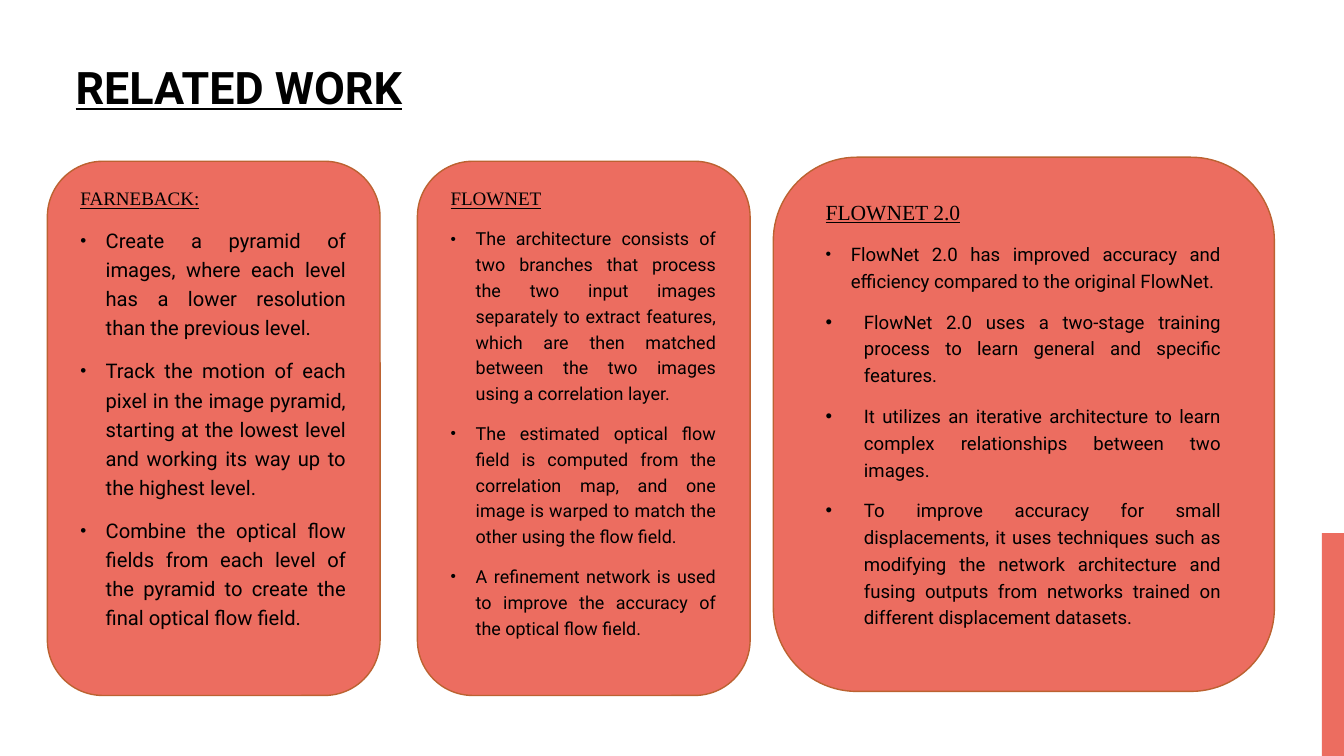
import pptx
import pptx.util
import pptx.dml.color
import pptx.enum.shapes
import pptx.enum.text
import pptx.oxml.ns
import lxml.etree

PX = 9144  # EMU per px, 100 px to the inch
THEME = {
    "coral": pptx.dml.color.RGBColor.from_string("EC6D60"),
    "rust": pptx.dml.color.RGBColor.from_string("BC6231"),
    "ink": pptx.dml.color.RGBColor.from_string("000000"),
    "sans": "Roboto",
    "serif": "Times New Roman",
    "title_size": 32,
    "line_spacing": 1.2,
    "space_before": 10,
}
ALIGN = pptx.enum.text.PP_ALIGN
SHAPE = pptx.enum.shapes.MSO_SHAPE

# card box, text box, heading size, body size, heading, (level, bullet text)
METHODS = [
    ((47, 160, 330, 530), (70, 176, 283, 477), 13.6, 14.4, "FARNEBACK:", [
        (0, "Create a pyramid of images, where each level has a lower resolution than the previous level."),
        (0, "Track the motion of each pixel in the image pyramid, starting at the lowest level and working its way up to the highest level."),
        (0, "Combine the optical flow fields from each level of the pyramid to create the final optical flow field."),
    ]),
    ((414, 160, 330, 530), (437, 176, 283, 477), 13.6, 12.8, "FLOWNET", [
        (0, "The architecture consists of two branches that process the two input images separately to extract features, which are then matched between the two images using a correlation layer."),
        (0, "The estimated optical flow field is computed from the correlation map, and one image is warped to match the other using the flow field."),
        (0, "A refinement network is used to improve the accuracy of the optical flow field."),
    ]),
    ((767, 156, 497, 530), (809, 187, 412, 477), 15.4, 13.3, "FLOWNET 2.0", [
        (0, "FlowNet 2.0 has improved accuracy and efficiency compared to the original FlowNet."),
        (1, "FlowNet 2.0 uses a two-stage training process to learn general and specific features."),
        (1, "It utilizes an iterative architecture to learn complex relationships between two images."),
        (1, "To improve accuracy for small displacements, it uses techniques such as modifying the network architecture and fusing outputs from networks trained on different displacement datasets."),
    ]),
]
# hanging indent in px and bullet size in percent, by level
BULLET_LEVELS = [(25, 85), (38, 100)]


def write(paragraph, text, size, font=THEME["sans"], bold=False, underline=False,
          align=ALIGN.LEFT, before=THEME["space_before"], bullet_level=None):
    paragraph.alignment = align
    paragraph.line_spacing = THEME["line_spacing"]
    paragraph.space_before = pptx.util.Pt(before)
    run = paragraph.add_run()
    run.text = text
    run.font.size = pptx.util.Pt(size)
    run.font.name = font
    run.font.bold = bold
    run.font.underline = underline
    run.font.color.rgb = THEME["ink"]
    if bullet_level is not None:
        paragraph.level = bullet_level
        indent, percent = BULLET_LEVELS[bullet_level]
        properties = paragraph._p.get_or_add_pPr()
        properties.set("marL", str(indent * PX))
        properties.set("indent", str(-indent * PX))
        for tag, key, value in (("a:buSzPct", "val", str(percent * 1000)),
                                ("a:buFont", "typeface", "Arial"),
                                ("a:buChar", "char", "•")):
            lxml.etree.SubElement(properties, pptx.oxml.ns.qn(tag)).set(key, value)


def add_block(slide, kind, box, line=None):
    """Add a coral shape, outlined only when a line colour is given."""
    block = slide.shapes.add_shape(kind, *(n * PX for n in box))
    block.shadow.inherit = False
    block.fill.solid()
    block.fill.fore_color.rgb = THEME["coral"]
    if line is None:
        block.line.fill.background()
    else:
        block.line.color.rgb = line
        block.line.width = pptx.util.Pt(1)


deck = pptx.Presentation()
deck.slide_width, deck.slide_height = 1333 * PX, 750 * PX
slide = deck.slides.add_slide(deck.slide_layouts[5])

title = slide.shapes.title
title.left, title.top, title.width, title.height = (n * PX for n in (65, 40, 632, 78))
title.text_frame.auto_size = pptx.enum.text.MSO_AUTO_SIZE.NONE
title.text_frame.vertical_anchor = pptx.enum.text.MSO_ANCHOR.BOTTOM
write(title.text_frame.paragraphs[0], "RELATED WORK", THEME["title_size"],
      bold=True, underline=True, before=0)

add_block(slide, SHAPE.RECTANGLE, (1311, 529, 22, 221))

for card, text_box, heading_size, body_size, heading, points in METHODS:
    add_block(slide, SHAPE.ROUNDED_RECTANGLE, card, THEME["rust"])
    summary = slide.shapes.add_textbox(*(n * PX for n in text_box)).text_frame
    summary.word_wrap = True
    write(summary.paragraphs[0], heading, heading_size, font=THEME["serif"], underline=True)
    for level, point in points:
        write(summary.add_paragraph(), point, body_size,
              align=ALIGN.JUSTIFY, bullet_level=level)

deck.save("out.pptx")
